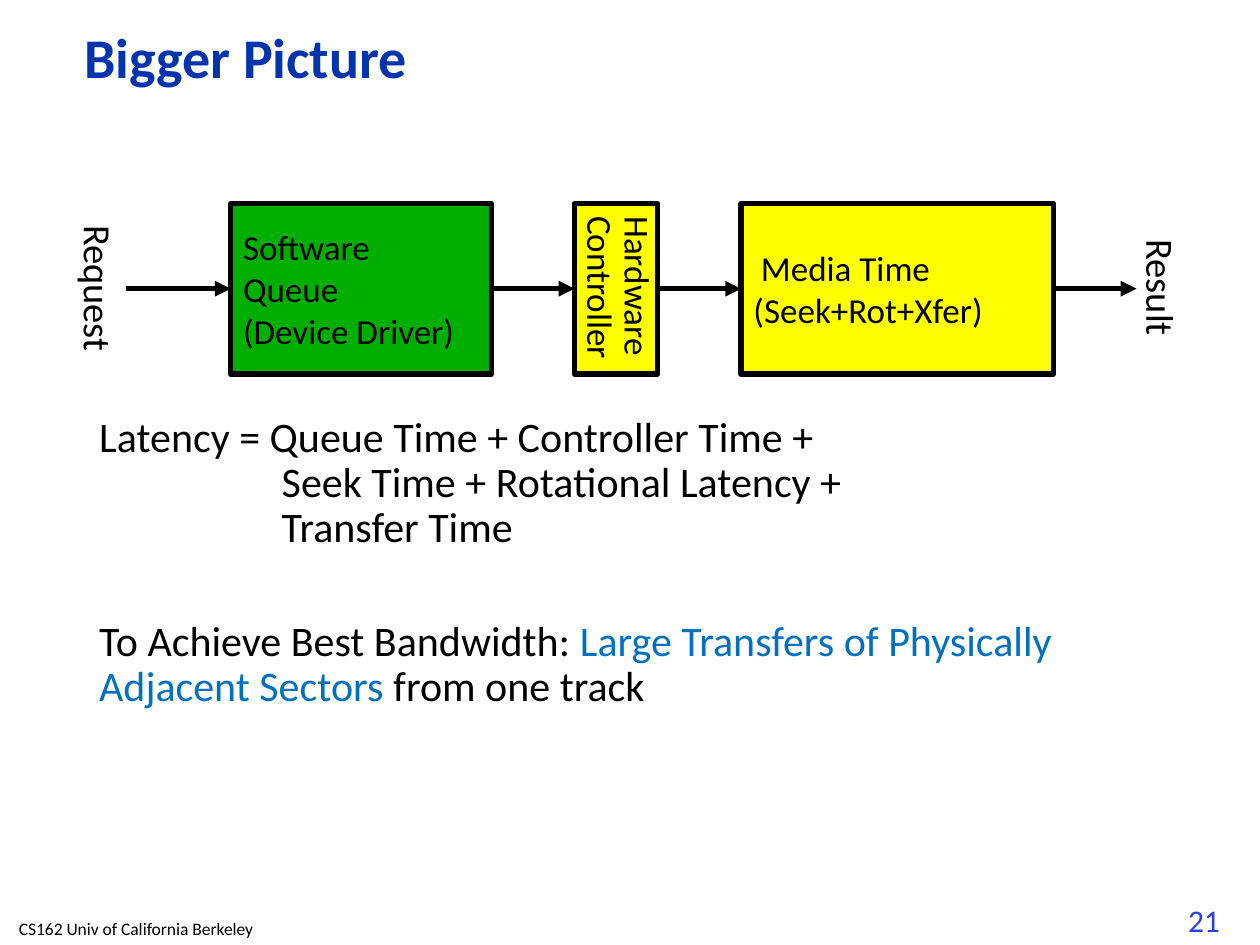
from lxml import etree
from pptx import Presentation
from pptx import util as u
from pptx.dml.color import RGBColor
from pptx.enum import shapes, text
from pptx.oxml.ns import qn

BLACK = RGBColor(0x00, 0x00, 0x00)
TITLE_BLUE = RGBColor(0x02, 0x34, 0xAD)
NUMBER_BLUE = RGBColor(0x2A, 0x40, 0xE2)
ACCENT_BLUE = RGBColor(0x00, 0x70, 0xC0)
GREEN = RGBColor(0x00, 0xAE, 0x00)
YELLOW = RGBColor(0xFF, 0xFF, 0x00)

STAGE_TOP, STAGE_HEIGHT = 4.11, 3.43
FLOW_START, FLOW_END, FLOW_Y = 2.54, 22.91, 5.82


def style(para, size, color=BLACK, bold=False):
    para.alignment = text.PP_ALIGN.LEFT
    para.font.name = "Calibri"
    para.font.size = u.Pt(size)
    para.font.color.rgb = color
    para.font.bold = bold


def add_text(page, words, left, top, width, height, size, color=BLACK, wrap=False):
    box = page.shapes.add_textbox(u.Cm(left), u.Cm(top), u.Cm(width), u.Cm(height))
    box.text_frame.word_wrap = wrap
    para = box.text_frame.paragraphs[0]
    para.text = words
    style(para, size, color)
    return box


def set_indent(para, margin, first=0.0):
    properties = para._p.get_or_add_pPr()
    properties.set("marL", str(u.Cm(margin)))
    properties.set("indent", str(u.Cm(first)))


def add_stage(page, lines, left, width, color):
    box = page.shapes.add_shape(
        shapes.MSO_SHAPE.RECTANGLE,
        u.Cm(left), u.Cm(STAGE_TOP), u.Cm(width), u.Cm(STAGE_HEIGHT))
    box.shadow.inherit = False
    box.fill.solid()
    box.fill.fore_color.rgb = color
    box.line.color.rgb = BLACK
    box.line.width = u.Pt(3)
    frame = box.text_frame
    frame.word_wrap = True
    frame.vertical_anchor = text.MSO_ANCHOR.MIDDLE
    frame.text = "\n".join(lines)
    for para in frame.paragraphs:
        style(para, 20)
    return frame


def add_arrow(page, start, end):
    arrow = page.shapes.add_connector(
        shapes.MSO_CONNECTOR.STRAIGHT,
        u.Cm(start), u.Cm(FLOW_Y), u.Cm(end), u.Cm(FLOW_Y))
    arrow.line.color.rgb = BLACK
    arrow.line.width = u.Pt(3)
    etree.SubElement(arrow.line._get_or_add_ln(), qn("a:tailEnd"), type="triangle")
    etree.SubElement(arrow._element.spPr, qn("a:effectLst"))


def add_flow(page):
    # Stages from request to result
    stages = [
        (["Software", "Queue", "(Device Driver)"], 4.65, 5.26, GREEN),
        (["Hardware", "Controller"], 11.58, 1.68, YELLOW),
        (["Media Time", "(Seek+Rot+Xfer)"], 14.94, 6.3, YELLOW),
    ]
    queue, controller, media = [add_stage(page, *stage) for stage in stages]
    controller._txBody.bodyPr.set("vert", "eaVert")
    for para in controller.paragraphs:
        para.line_spacing = 0.8
    controller.paragraphs[1].space_before = u.Pt(2)
    set_indent(media.paragraphs[0], 0.15)

    # Arrows fill the gaps between stages
    starts = [FLOW_START] + [left + width for _, left, width, _ in stages]
    ends = [left for _, left, _, _ in stages] + [FLOW_END]
    for start, end in zip(starts, ends):
        add_arrow(page, start, end)

    # Turned labels at both ends
    for words, left, width in (("Request", 0.46, 3.07), ("Result", 22.17, 2.49)):
        add_text(page, words, left, 5.23, width, 1.19, 22).rotation = 90


def add_body(page):
    box = add_text(
        page,
        "Latency = Queue Time + Controller Time +\v"
        "Seek Time + Rotational Latency +\vTransfer Time",
        1.75, 8.26, 21.9, 8.89, 24, wrap=True)
    latency = box.text_frame.paragraphs[0]
    latency.line_spacing = 0.9
    set_indent(latency, 3.68, -3.68)

    bandwidth = box.text_frame.add_paragraph()
    bandwidth.line_spacing = 0.9
    bandwidth.space_before = u.Pt(39)
    style(bandwidth, 24)
    for words, color in (
            ("To Achieve Best Bandwidth: ", BLACK),
            ("Large Transfers of Physically Adjacent Sectors", ACCENT_BLUE),
            (" from one track", BLACK)):
        span = bandwidth.add_run()
        span.text = words
        span.font.color.rgb = color


def main():
    deck = Presentation()
    deck.slide_width, deck.slide_height = u.Cm(25.4), u.Cm(19.05)
    page = deck.slides.add_slide(deck.slide_layouts[6])

    # Title
    title = add_text(page, "Bigger Picture", 1.45, 0.48, 19.89, 1.47, 32, TITLE_BLUE, True)
    title.text_frame.vertical_anchor = text.MSO_ANCHOR.MIDDLE
    title.text_frame.paragraphs[0].line_spacing = 0.9
    title.text_frame.paragraphs[0].font.bold = True

    # Diagram and explanation
    add_flow(page)
    add_body(page)

    # Footer
    add_text(page, "CS162 Univ of California Berkeley", 0.13, 18.39, 5.31, 0.69, 10)
    add_text(page, "21", 23.7, 18.03, 1.3, 1.02, 18, NUMBER_BLUE)

    deck.save("out.pptx")


if __name__ == "__main__":
    main()
